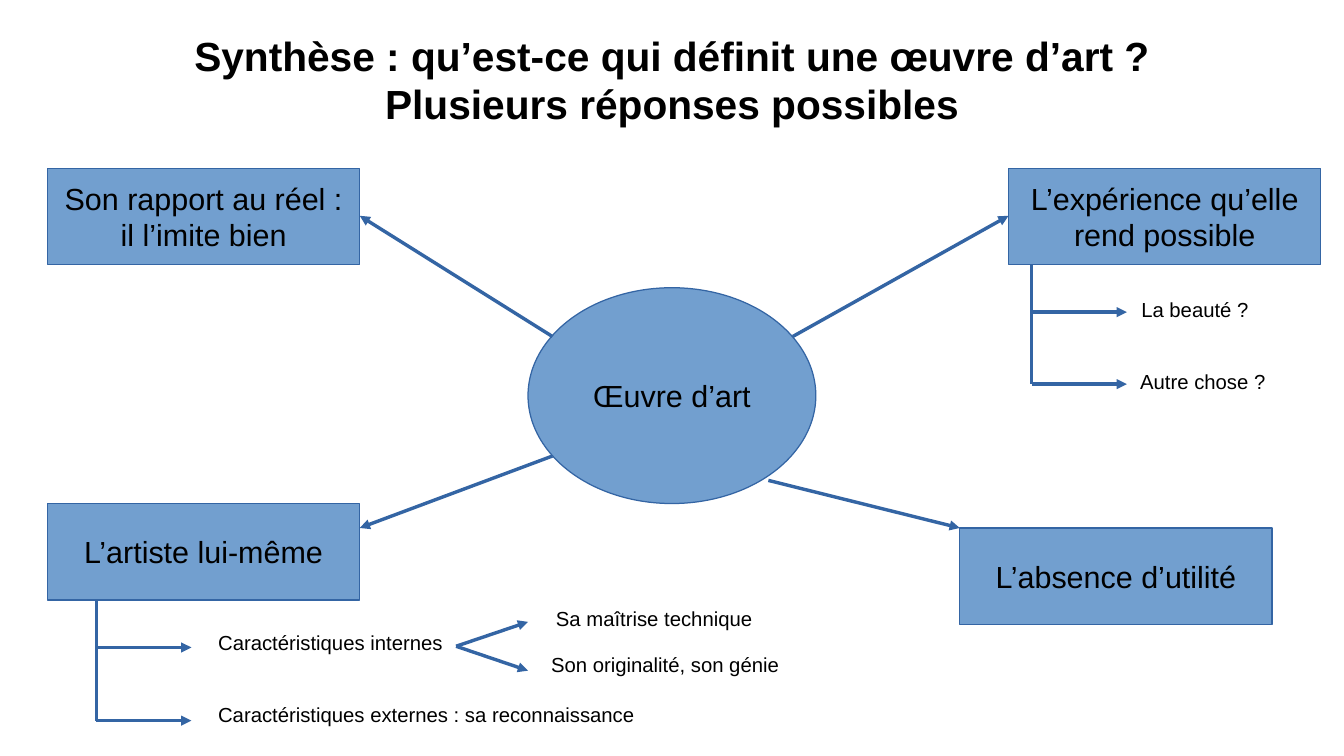
from dataclasses import dataclass

from pptx import Presentation
from pptx.dml.color import RGBColor
from pptx.enum.shapes import MSO_CONNECTOR, MSO_SHAPE
from pptx.enum.text import MSO_ANCHOR, MSO_AUTO_SIZE, PP_ALIGN
from pptx.oxml.ns import qn
from pptx.util import Inches, Pt
from lxml.etree import SubElement


@dataclass(frozen=True)
class Theme:
    font: str = "Arial"
    text: RGBColor = RGBColor(0x00, 0x00, 0x00)
    fill: RGBColor = RGBColor(0x72, 0x9F, 0xCF)
    line: RGBColor = RGBColor(0x34, 0x65, 0xA4)
    title_size: Pt = Pt(24)
    node_size: Pt = Pt(18)
    label_size: Pt = Pt(12)
    line_width: Pt = Pt(0)


THEME = Theme()
BOX_W, BOX_H = 2.56, 0.79
LABEL_H = 0.29


def write(tf, lines, size, align, bold=False):
    tf.text = "\n".join(lines)
    for p in tf.paragraphs:
        p.alignment = align
        p.line_spacing = 1.0
        p.space_before = Pt(0)
        p.font.name = THEME.font
        p.font.size = size
        p.font.bold = bold
        p.font.color.rgb = THEME.text


def add_title(s, lines):
    title = s.shapes.title
    title.left, title.top = Inches(0.59), Inches(0.2)
    title.width, title.height = Inches(9.84), Inches(0.84)
    tf = title.text_frame
    tf.auto_size = MSO_AUTO_SIZE.NONE
    tf.vertical_anchor = MSO_ANCHOR.TOP
    write(tf, lines, THEME.title_size, PP_ALIGN.CENTER, bold=True)


def add_node(s, text, x, y, w=BOX_W, h=BOX_H, kind=MSO_SHAPE.RECTANGLE):
    sp = s.shapes.add_shape(kind, Inches(x), Inches(y), Inches(w), Inches(h))
    sp.shadow.inherit = False
    sp.fill.solid()
    sp.fill.fore_color.rgb = THEME.fill
    sp.line.color.rgb = THEME.line
    sp.line.width = THEME.line_width
    tf = sp.text_frame
    tf.word_wrap = True
    tf.vertical_anchor = MSO_ANCHOR.MIDDLE
    write(tf, [text], THEME.node_size, PP_ALIGN.CENTER)


def add_label(s, text, x, y, w):
    sp = s.shapes.add_textbox(Inches(x), Inches(y), Inches(w), Inches(LABEL_H))
    tf = sp.text_frame
    tf.word_wrap = False
    tf.auto_size = MSO_AUTO_SIZE.SHAPE_TO_FIT_TEXT
    write(tf, [text], THEME.label_size, PP_ALIGN.LEFT)


def add_line(s, start, end, arrow=True):
    points = [Inches(v) for v in (*start, *end)]
    line = s.shapes.add_connector(MSO_CONNECTOR.STRAIGHT, *points)
    line.line.color.rgb = THEME.line
    line.line.width = THEME.line_width
    if arrow:
        SubElement(line.line._get_or_add_ln(), qn("a:tailEnd"), type="triangle")
    SubElement(line._element.spPr, qn("a:effectLst"))


def add_branches(s, x, top, branch_ys):
    """Vertical stem with one horizontal arrow per branch."""
    add_line(s, (x, top), (x, max(branch_ys)), arrow=False)
    for y in branch_ys:
        add_line(s, (x, y), (x + 0.78, y))


def main():
    prs = Presentation()
    prs.slide_width, prs.slide_height = Inches(11.02), Inches(6.2)
    s = prs.slides.add_slide(prs.slide_layouts[5])

    add_title(s, ["Synthèse : qu’est-ce qui définit une œuvre d’art ?",
                  "Plusieurs réponses possibles"])

    # Central idea and the four answers
    add_node(s, "Œuvre d’art", 4.33, 2.36, 2.36, 1.77, MSO_SHAPE.OVAL)
    answers = [
        ("Son rapport au réel : il l’imite bien", 0.39, 1.38),
        ("L’artiste lui-même", 0.39, 4.13),
        ("L’expérience qu’elle rend possible", 8.27, 1.38),
        ("L’absence d’utilité", 7.87, 4.33),
    ]
    for text, x, y in answers:
        add_node(s, text, x, y)

    # Arrows from the centre to the answers
    for start, end in [((4.53, 2.76), (2.95, 1.77)),
                       ((6.5, 2.76), (8.27, 1.77)),
                       ((4.53, 3.74), (2.95, 4.33)),
                       ((6.3, 3.94), (7.87, 4.33))]:
        add_line(s, start, end)

    # Branches below the artist and the experience
    add_branches(s, 0.79, 4.92, [5.31, 5.91])
    add_branches(s, 8.46, 2.17, [2.56, 3.15])

    # Fork from the internal characteristics
    for y in (5.1, 5.5):
        add_line(s, (3.74, 5.3), (4.33, y))

    # Branch labels
    labels = [
        ("Caractéristiques internes", 1.69, 5.12, 2.05),
        ("Caractéristiques externes : sa reconnaissance", 1.69, 5.71, 3.63),
        ("Sa maîtrise technique", 4.46, 4.92, 1.82),
        ("Son originalité, son génie", 4.42, 5.3, 2.08),
        ("La beauté ?", 9.26, 2.39, 1.1),
        ("Autre chose ?", 9.25, 2.98, 1.25),
    ]
    for text, x, y, w in labels:
        add_label(s, text, x, y, w)

    prs.save("out.pptx")


if __name__ == "__main__":
    main()
